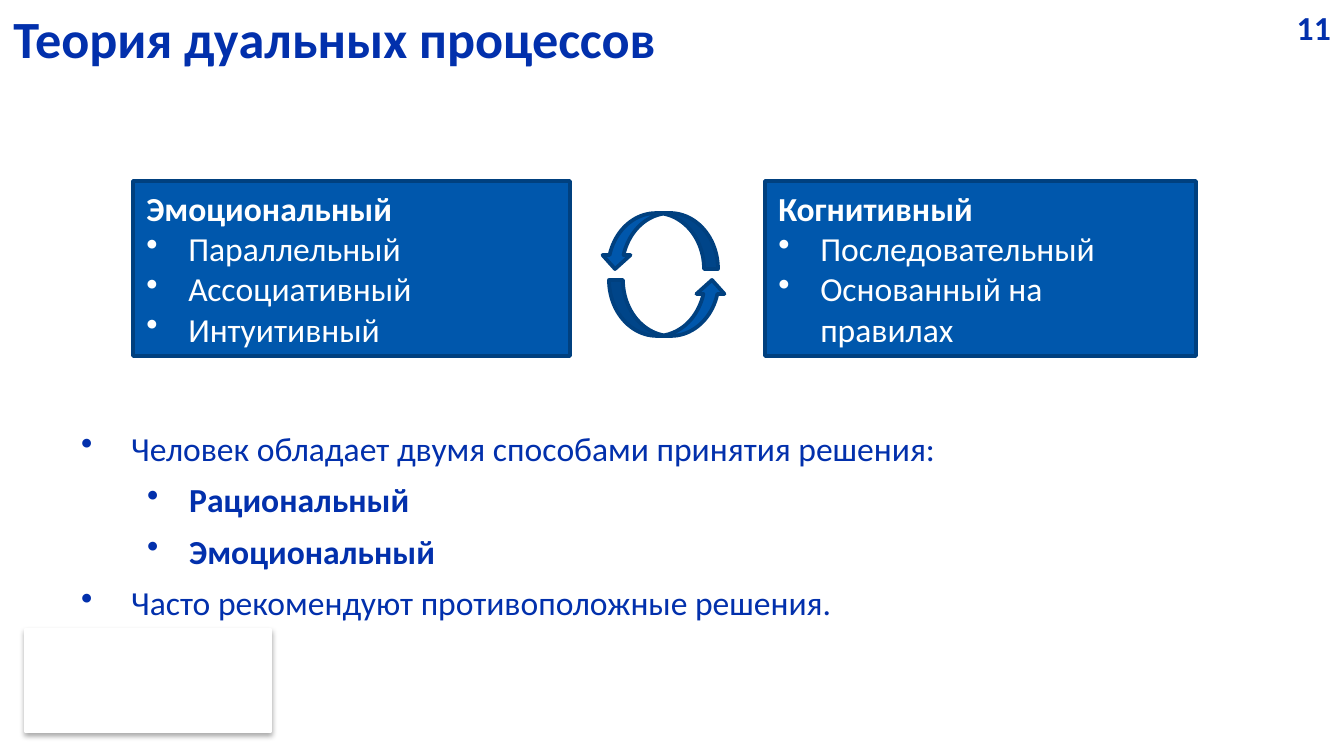
import pptx
import pptx.dml.color
import pptx.enum.shapes
import pptx.enum.text
import pptx.oxml
import pptx.oxml.ns
import pptx.util

EMU_PER_PX = 914400 / 134.4
COLORS = {
    "text": "0230AC",
    "fill": "0057AC",
    "outline": "00407F",
    "white": "FFFFFF",
    "shadow": "000000",
}
SHAPES = pptx.enum.shapes.MSO_SHAPE
ALIGN = pptx.enum.text.PP_ALIGN
TOP = pptx.enum.text.MSO_ANCHOR.TOP

# Each line is (text, bold, text indent in px, hanging indent in px).
EMOTIONAL = [
    ("Эмоциональный", True, 0, 0),
    ("Параллельный", False, 42, 42),
    ("Ассоциативный", False, 42, 42),
    ("Интуитивный", False, 42, 42),
]
COGNITIVE = [
    ("Когнитивный", True, 0, 0),
    ("Последовательный", False, 42, 42),
    ("Основанный на правилах", False, 42, 42),
]
CONCLUSIONS = [
    ("Человек обладает двумя способами принятия решения:", False, 51, 50),
    ("Рациональный", True, 109, 42),
    ("Эмоциональный", True, 109, 42),
    ("Часто рекомендуют противоположные решения.", False, 51, 50),
]


def px(length):
    return pptx.util.Emu(round(length * EMU_PER_PX))


def rgb(name):
    return pptx.dml.color.RGBColor.from_string(COLORS[name])


def format_font(paragraph, color, **values):
    font = paragraph.font
    for name, value in {"name": "Calibri", "size": pptx.util.Pt(18), **values}.items():
        setattr(font, name, value)
    font.color.rgb = rgb(color)


def add_bullet(paragraph, indent, hanging):
    properties = paragraph._p.get_or_add_pPr()
    properties.set("marL", str(px(indent)))
    properties.set("indent", str(-px(hanging)))
    bullet = pptx.oxml.parse_xml(
        f'<a:buChar {pptx.oxml.ns.nsdecls("a")} char="•"/>')
    properties.append(bullet)


def write_lines(shape, lines, color, gap=0):
    """Fill a shape with left-aligned lines, gap points apart."""
    frame = shape.text_frame
    frame.word_wrap = True
    frame.vertical_anchor = TOP
    for index, (text, bold, indent, hanging) in enumerate(lines):
        paragraph = frame.paragraphs[0] if index == 0 else frame.add_paragraph()
        paragraph.text = text
        paragraph.alignment = ALIGN.LEFT
        if hanging:
            add_bullet(paragraph, indent, hanging)
        if index and gap:
            paragraph.space_before = pptx.util.Pt(gap)
        format_font(paragraph, color, bold=bold)


def add_filled_shape(slide, kind, box, fill="fill", outline="outline", width=2):
    shape = slide.shapes.add_shape(kind, *map(px, box))
    shape.shadow.inherit = False
    shape.fill.solid()
    shape.fill.fore_color.rgb = rgb(fill)
    shape.line.color.rgb = rgb(outline)
    shape.line.width = pptx.util.Pt(width)
    return shape


def add_shadowed_panel(slide, box):
    panel = add_filled_shape(slide, SHAPES.RECTANGLE, box, "white", "white", 0.75)
    effects = panel._element.spPr.find(pptx.oxml.ns.qn("a:effectLst"))
    effects.append(pptx.oxml.parse_xml(
        f'<a:outerShdw {pptx.oxml.ns.nsdecls("a")} blurRad="{pptx.util.Pt(3.1)}" '
        f'dist="{pptx.util.Pt(1.8)}" dir="5400000" rotWithShape="0">'
        f'<a:srgbClr val="{COLORS["shadow"]}"><a:alpha val="35000"/></a:srgbClr>'
        '</a:outerShdw>'))


def add_title(slide, text, box):
    title = slide.shapes.title
    title.left, title.top, title.width, title.height = map(px, box)
    frame = title.text_frame
    frame.text = text
    frame.vertical_anchor = TOP
    frame.word_wrap = True
    frame.paragraphs[0].alignment = ALIGN.LEFT
    format_font(frame.paragraphs[0], "text", size=pptx.util.Pt(28), bold=True)


def add_slide_number(slide, number, box):
    text_box = slide.shapes.add_textbox(*map(px, box))
    write_lines(text_box, [(number, True, 0, 0)], "text")
    text_box.text_frame.paragraphs[0].alignment = ALIGN.RIGHT


def add_process(slide, lines, box, right_margin=13):
    process = add_filled_shape(slide, SHAPES.RECTANGLE, box)
    write_lines(process, lines, "white")
    process.text_frame.margin_right = px(right_margin)


def add_cycle_arrow(slide, box, rotation):
    arrow = add_filled_shape(slide, SHAPES.CURVED_UP_ARROW, box)
    arrow.rotation = rotation


def main():
    presentation = pptx.Presentation()
    presentation.slide_width = px(1344)
    presentation.slide_height = px(756)
    slide = presentation.slides.add_slide(presentation.slide_layouts[5])

    add_shadowed_panel(slide, (25, 629, 246, 103))
    add_title(slide, "Теория дуальных процессов", (0, 0, 980, 71))
    add_slide_number(slide, "11", (1265, 0, 79, 54))
    conclusions = slide.shapes.add_textbox(*map(px, (67, 421, 1185, 234)))
    write_lines(conclusions, CONCLUSIONS, "text", gap=6)
    add_process(slide, EMOTIONAL, (133, 181, 437, 175))
    add_process(slide, COGNITIVE, (765, 181, 431, 175), right_margin=26)
    add_cycle_arrow(slide, (609, 280, 117, 56), 0)
    add_cycle_arrow(slide, (601, 213, 117, 56), 180)

    presentation.save("out.pptx")


if __name__ == "__main__":
    main()
